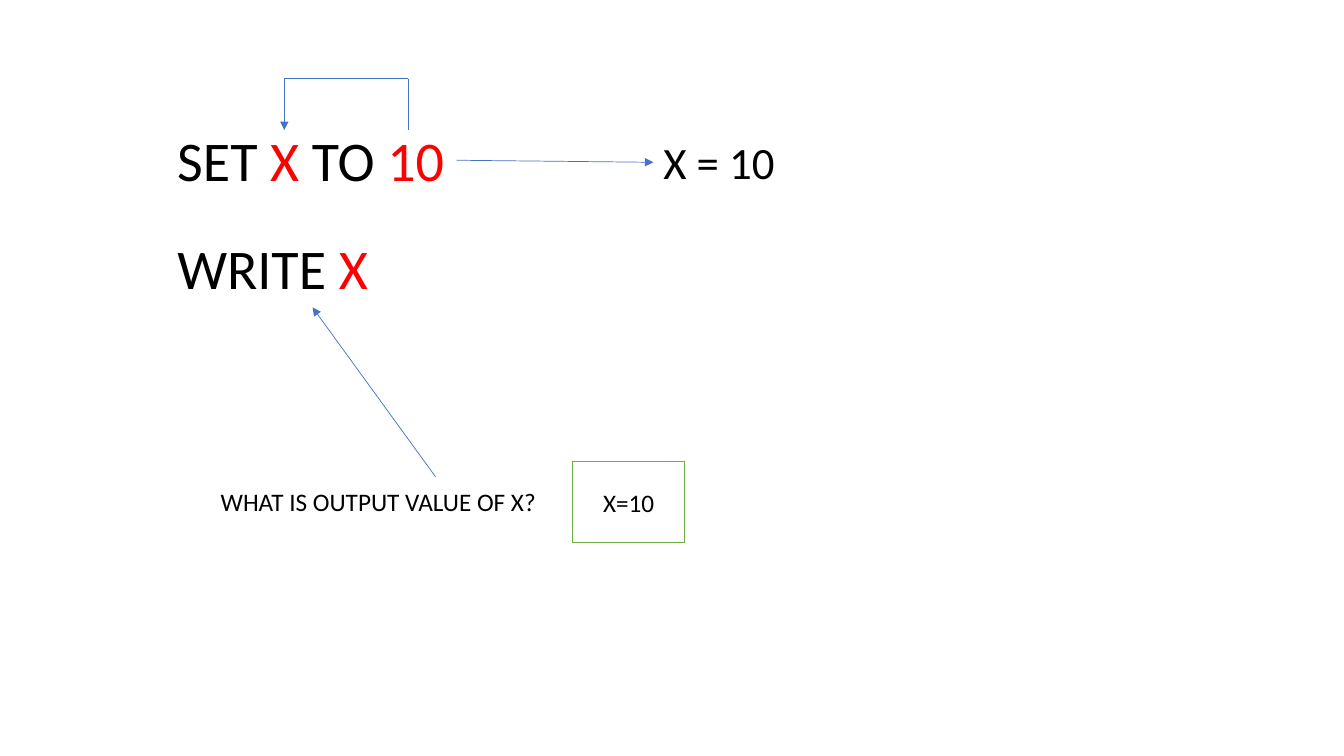
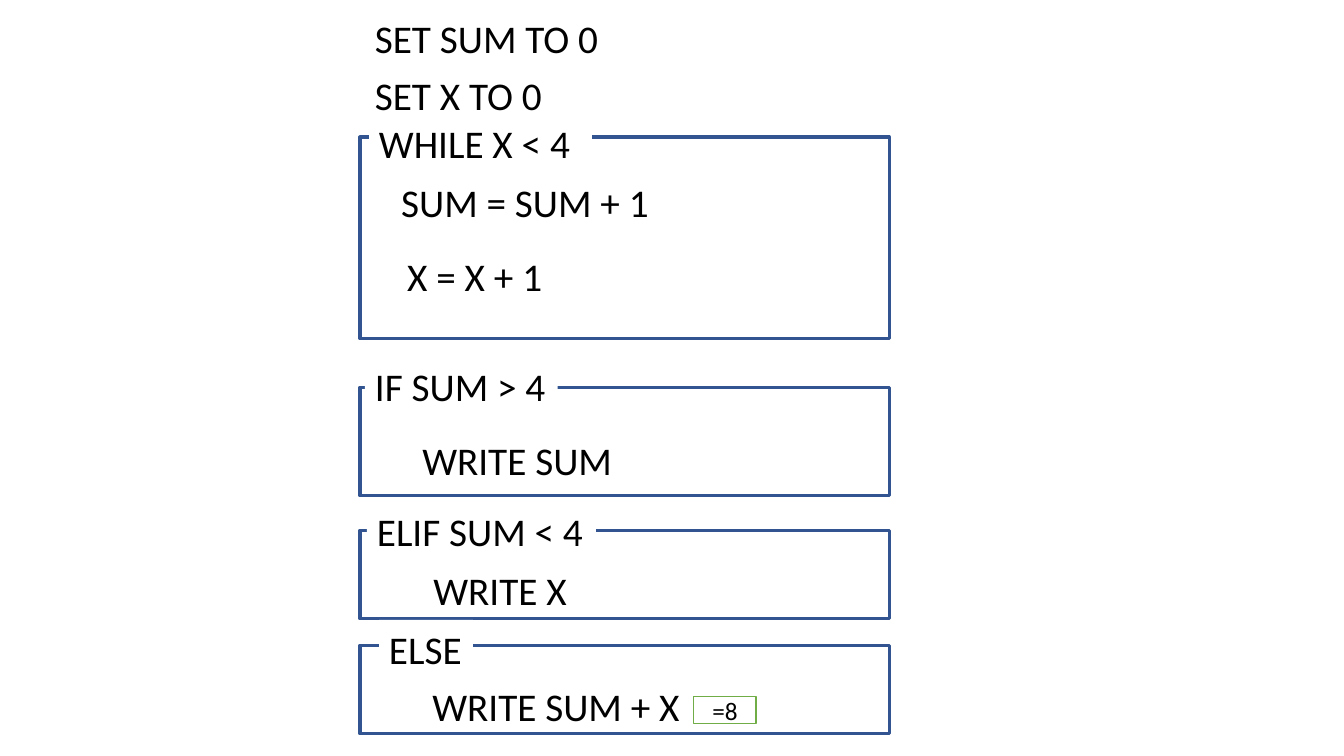
from lxml import etree
from pptx import Presentation
from pptx.dml.color import RGBColor
from pptx.enum.shapes import MSO_CONNECTOR as Connector, MSO_SHAPE as Shape
from pptx.enum.text import MSO_ANCHOR as Anchor, MSO_AUTO_SIZE as AutoSize, PP_ALIGN as Align
from pptx.oxml.ns import qn
from pptx.util import Inches, Pt

FONT = "Calibri"
BLACK = RGBColor(0x00, 0x00, 0x00)
WHITE = RGBColor(0xFF, 0xFF, 0xFF)
RED = RGBColor(0xFF, 0x00, 0x00)
ARROW_BLUE = RGBColor(0x44, 0x72, 0xC4)
FRAME_BLUE = RGBColor(0x32, 0x54, 0x91)
GREEN = RGBColor(0x70, 0xAD, 0x47)


def add_label(page, left, top, width, height, spans, size):
    """Add a one-line text box made of (text, colour) spans and return it."""
    box = page.shapes.add_textbox(Inches(left), Inches(top), Inches(width), Inches(height))
    box.text_frame.word_wrap = False
    box.text_frame.auto_size = AutoSize.SHAPE_TO_FIT_TEXT
    para = box.text_frame.paragraphs[0]
    for text, colour in spans:
        span = para.add_run()
        span.text = text
        span.font.name = FONT
        span.font.size = Pt(size)
        span.font.color.rgb = colour
    return box


def add_answer(page, left, top, width, height, text):
    """Add a green-edged box with a centred answer."""
    box = page.shapes.add_shape(
        Shape.RECTANGLE, Inches(left), Inches(top), Inches(width), Inches(height))
    box.shadow.inherit = False
    box.fill.solid()
    box.fill.fore_color.rgb = WHITE
    box.line.color.rgb = GREEN
    box.line.width = Pt(1)
    box.text_frame.vertical_anchor = Anchor.MIDDLE
    para = box.text_frame.paragraphs[0]
    para.alignment = Align.CENTER
    span = para.add_run()
    span.text = text
    span.font.name = FONT
    span.font.size = Pt(18)
    span.font.color.rgb = BLACK


deck = Presentation()
deck.slide_width = Inches(13.33)
deck.slide_height = Inches(7.5)
blank_layout = deck.slide_layouts[6]

# Slide 1: assigning and writing a variable
page = deck.slides.add_slide(blank_layout)
add_label(page, 1.66, 1.2, 2.87, 0.77,
          [("SET ", BLACK), ("X", RED), (" TO ", BLACK), ("10", RED)], 40)
add_label(page, 6.48, 1.29, 1.32, 0.64, [("X = 10", BLACK)], 32)
add_label(page, 1.66, 2.27, 2.11, 0.77, [("WRITE ", BLACK), ("X", RED)], 40)
add_label(page, 2.09, 4.78, 3.36, 0.4, [("WHAT IS OUTPUT VALUE OF X?", BLACK)], 18)

arrows = [  # start x, start y, end x, end y, has arrowhead
    (4.05, 1.29, 4.05, 0.78, False),
    (4.05, 0.78, 2.82, 0.78, False),
    (2.82, 0.78, 2.82, 1.29, True),
    (4.53, 1.59, 6.48, 1.61, True),
    (4.32, 4.73, 3.1, 3.05, True),
]
for start_x, start_y, end_x, end_y, has_head in arrows:
    arrow = page.shapes.add_connector(
        Connector.STRAIGHT, Inches(start_x), Inches(start_y), Inches(end_x), Inches(end_y))
    arrow.line.color.rgb = ARROW_BLUE
    arrow.line.width = Pt(0.5)
    properties = arrow._element.spPr
    if has_head:
        etree.SubElement(properties.find(qn("a:ln")), qn("a:tailEnd"), type="triangle")
    etree.SubElement(properties, qn("a:effectLst"))

add_answer(page, 5.68, 4.58, 1.11, 0.8, "X=10")

# Slide 2: loop and branches, each in a frame
page = deck.slides.add_slide(blank_layout)
for top, height in [(6.4, 0.88), (5.26, 0.88), (3.84, 1.08), (1.36, 2)]:
    frame = page.shapes.add_shape(
        Shape.RECTANGLE, Inches(3.57), Inches(top), Inches(5.25), Inches(height))
    frame.shadow.inherit = False
    frame.fill.background()
    frame.line.color.rgb = FRAME_BLUE
    frame.line.width = Pt(2.25)

code_lines = [  # left, top, width, text, covers the frame edge
    (3.66, 1.13, 2.21, "WHILE X < 4 ", True),
    (3.62, 0.66, 1.96, "SET X TO 0 ", False),
    (3.62, 0.09, 2.53, "SET SUM TO 0 ", False),
    (3.88, 1.72, 2.78, "SUM = SUM + 1 ", False),
    (3.94, 2.45, 1.65, "X = X + 1 ", False),
    (3.62, 3.55, 1.91, "IF SUM > 4", True),
    (4.09, 4.28, 2.1, "WRITE SUM", False),
    (3.64, 4.98, 2.27, "ELIF SUM < 4", True),
    (3.76, 6.15, 0.93, "ELSE", True),
    (4.2, 5.57, 1.54, "WRITE X", False),
    (4.19, 6.72, 2.68, "WRITE SUM + X", False),
]
for left, top, width, text, covers_edge in code_lines:
    label = add_label(page, left, top, width, 0.57, [(text, BLACK)], 28)
    if covers_edge:
        label.fill.solid()
        label.fill.fore_color.rgb = WHITE

add_answer(page, 6.88, 6.91, 0.62, 0.27, "=8")

deck.save("out.pptx")
